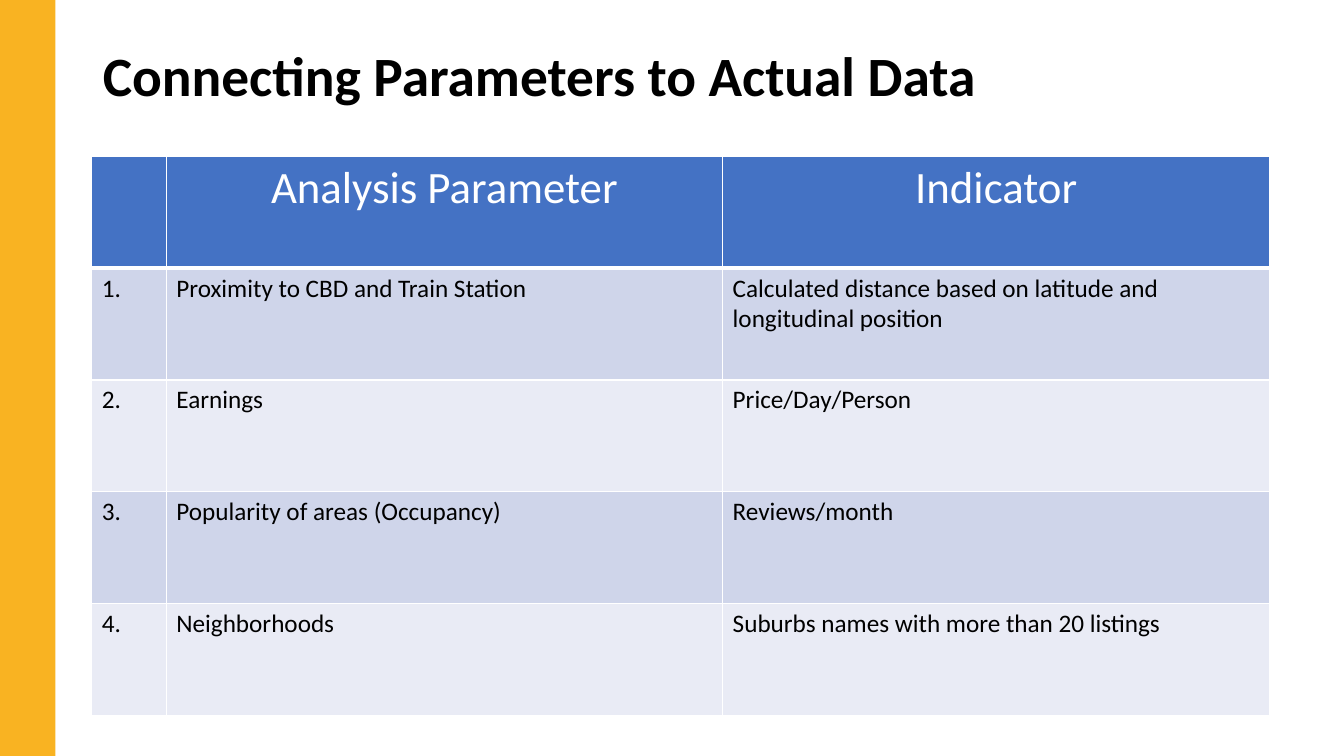
import pptx
import pptx.dml.color
import pptx.enum.shapes
import pptx.enum.text
import pptx.oxml
import pptx.oxml.ns
import pptx.util
from pptx.util import Pt

TITLE = "Connecting Parameters to Actual Data"
HEADER = ("", "Analysis Parameter", "Indicator")
PARAMETERS = [
    ("Proximity to CBD and Train Station",
     "Calculated distance based on latitude and longitudinal position"),
    ("Earnings", "Price/Day/Person"),
    ("Popularity of areas (Occupancy)", "Reviews/month"),
    ("Neighborhoods", "Suburbs names with more than 20 listings"),
]


class Theme:
    font = "Calibri"
    black, white = "000000", "FFFFFF"
    accent, header = "F9B322", "4472C4"
    bands = ("CFD5EA", "E9EBF5")
    title_size, header_size, body_size = 39.6, 32, 18
    border, header_border = 1, 3


SLIDE_W, SLIDE_H = 960, 540
TITLE_BOX = (66.25, 28.8, 828, 54)
BAR_BOX = (0, 0, 39.6, 546.5)
TABLE_LEFT, TABLE_TOP = 65.5, 111.6
COLUMN_WIDTHS = (53.3, 397.4, 391)
ROW_HEIGHT = 79.9

ALIGN = pptx.enum.text.PP_ALIGN


def rgb(color):
    return pptx.dml.color.RGBColor.from_string(color)


def paint(fill, color):
    fill.solid()
    fill.fore_color.rgb = rgb(color)


def write(tf, text, size=Theme.body_size, color=Theme.black, bold=False, align=ALIGN.LEFT):
    p = tf.paragraphs[0]
    p.alignment = align
    p.font.size = Pt(size)
    if text:
        r = p.add_run()
        r.text = text
        r.font.name = Theme.font
        r.font.size = Pt(size)
        r.font.bold = bold
        r.font.color.rgb = rgb(color)


def add_borders(cell, bottom):
    """Draw the four cell edges; they must come before the cell fill in the XML."""
    tc_pr = cell._tc.get_or_add_tcPr()
    widths = {"lnL": Theme.border, "lnR": Theme.border, "lnT": Theme.border, "lnB": bottom}
    for i, (tag, width) in enumerate(widths.items()):
        tc_pr.insert(i, pptx.oxml.parse_xml(
            f'<a:{tag} {pptx.oxml.ns.nsdecls("a")} w="{Pt(width)}"><a:solidFill>'
            f'<a:srgbClr val="{Theme.white}"/></a:solidFill></a:{tag}>'))


def add_title(slide):
    sp = slide.shapes.title
    sp.left, sp.top, sp.width, sp.height = map(Pt, TITLE_BOX)
    tf = sp.text_frame
    tf.word_wrap = True
    tf.vertical_anchor = pptx.enum.text.MSO_ANCHOR.MIDDLE
    write(tf, TITLE, size=Theme.title_size, bold=True)
    tf.paragraphs[0].line_spacing = 0.9


def add_parameter_table(slide):
    rows = [HEADER] + [(f"{n}.", *row) for n, row in enumerate(PARAMETERS, 1)]
    table = slide.shapes.add_table(
        len(rows), len(HEADER), Pt(TABLE_LEFT), Pt(TABLE_TOP),
        Pt(sum(COLUMN_WIDTHS)), Pt(ROW_HEIGHT * len(rows))).table
    for column, width in zip(table.columns, COLUMN_WIDTHS):
        column.width = Pt(width)
    for i, row in enumerate(rows):
        table.rows[i].height = Pt(ROW_HEIGHT)
        for j, text in enumerate(row):
            cell = table.cell(i, j)
            if i == 0:
                paint(cell.fill, Theme.header)
                add_borders(cell, Theme.header_border)
                write(cell.text_frame, text, size=Theme.header_size,
                      color=Theme.white, align=ALIGN.CENTER)
            else:
                paint(cell.fill, Theme.bands[(i - 1) % 2])
                add_borders(cell, Theme.border)
                write(cell.text_frame, text)


def add_side_bar(slide):
    sp = slide.shapes.add_shape(pptx.enum.shapes.MSO_SHAPE.RECTANGLE, *map(Pt, BAR_BOX))
    sp.shadow.inherit = False
    paint(sp.fill, Theme.accent)
    sp.line.fill.background()


def main():
    prs = pptx.Presentation()
    prs.slide_width, prs.slide_height = Pt(SLIDE_W), Pt(SLIDE_H)
    slide = prs.slides.add_slide(prs.slide_layouts.get_by_name("Title Only"))
    add_title(slide)
    add_parameter_table(slide)
    add_side_bar(slide)
    prs.save("out.pptx")


if __name__ == "__main__":
    main()
